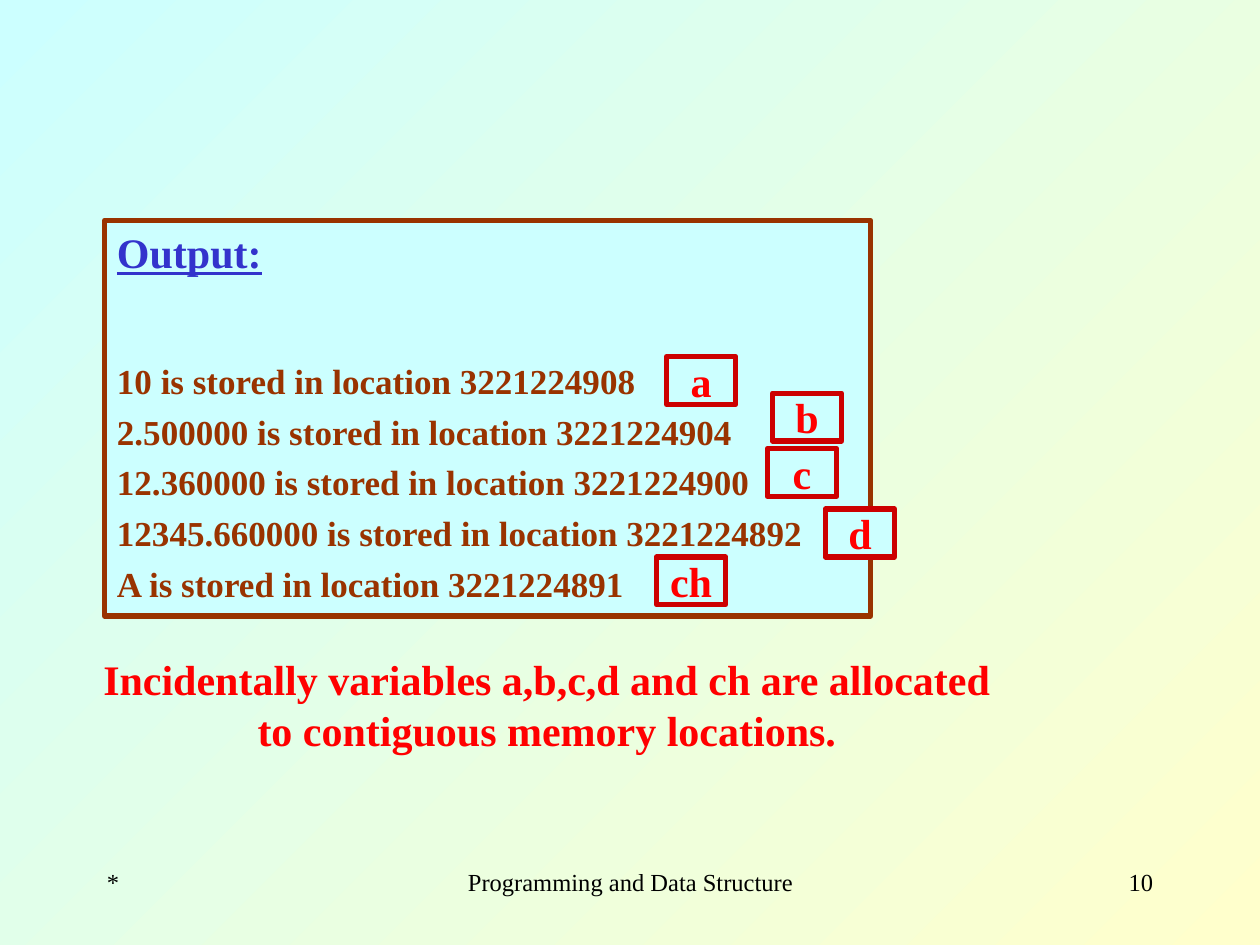
from dataclasses import dataclass

from pptx import Presentation
from pptx.dml.color import RGBColor
from pptx.enum.shapes import MSO_SHAPE
from pptx.enum.text import MSO_ANCHOR, PP_ALIGN
from pptx.util import Inches, Pt

RECTANGLE = MSO_SHAPE.RECTANGLE
TOP, MIDDLE = MSO_ANCHOR.TOP, MSO_ANCHOR.MIDDLE
LEFT, CENTER, RIGHT = PP_ALIGN.LEFT, PP_ALIGN.CENTER, PP_ALIGN.RIGHT


@dataclass(frozen=True)
class Theme:
    font: str = "Times New Roman"
    sky: str = "CCFFFF"
    cream: str = "FFFFCC"
    brown: str = "993300"
    blue: str = "3333CC"
    red: str = "FF0000"
    dark_red: str = "CC0000"
    black: str = "000000"
    large: int = 24
    body: int = 20
    small: int = 14
    border: int = 3


class SlideBuilder:
    def __init__(self, page, theme):
        self.page = page
        self.theme = theme

    def background(self):
        fill = self.page.background.fill
        fill.gradient()
        fill.gradient_angle = 315  # counted counter-clockwise
        for stop, color in zip(fill.gradient_stops, (self.theme.sky, self.theme.cream)):
            stop.color.rgb = RGBColor.from_string(color)

    def style_line(self, para, text, size, color, align=LEFT, bold=True, underline=None, before=0):
        para.text = text
        para.alignment = align
        para.space_before = Pt(before)
        font = para.font
        font.name, font.size = self.theme.font, Pt(size)
        font.bold, font.underline = bold, underline
        font.color.rgb = RGBColor.from_string(color)

    def text(self, left, top, width, height, lines, size, color, align=LEFT, bold=True):
        box = self.page.shapes.add_textbox(*map(Inches, (left, top, width, height)))
        frame = box.text_frame
        frame.word_wrap = True
        for index, line in enumerate(lines):
            para = frame.add_paragraph() if index else frame.paragraphs[0]
            self.style_line(para, line, size, color, align, bold)

    def panel(self, left, top, width, height, border, anchor):
        box = self.page.shapes.add_shape(RECTANGLE, *map(Inches, (left, top, width, height)))
        box.shadow.inherit = False
        box.fill.solid()
        box.fill.fore_color.rgb = RGBColor.from_string(self.theme.sky)
        box.line.color.rgb = RGBColor.from_string(border)
        box.line.width = Pt(self.theme.border)
        frame = box.text_frame
        frame.word_wrap = True
        frame.vertical_anchor = anchor
        return frame

    def output(self, left, top, width, height, heading, lines):
        theme = self.theme
        frame = self.panel(left, top, width, height, theme.brown, TOP)
        self.style_line(frame.paragraphs[0], heading, theme.large, theme.blue, underline=True)
        for index, line in enumerate(lines):
            self.style_line(frame.add_paragraph(), line, theme.body, theme.brown,
                            before=5 if index else 47)

    def label(self, left, top, name):
        theme = self.theme
        frame = self.panel(left, top, 0.55, 0.38, theme.dark_red, MIDDLE)
        # Keep the two-letter name on one line
        frame.word_wrap = False
        self.style_line(frame.paragraphs[0], name, theme.large, theme.red, CENTER)


def main():
    theme = Theme()
    deck = Presentation()
    deck.slide_width, deck.slide_height = Inches(10), Inches(7.5)
    builder = SlideBuilder(deck.slides.add_slide(deck.slide_layouts[6]), theme)
    builder.background()

    # Footer: date, course and page number
    for left, width, text, align in (
        (0.75, 2.08, "*", LEFT),
        (3.42, 3.17, "Programming and Data Structure", CENTER),
        (7.17, 2.08, "10", RIGHT),
    ):
        builder.text(left, 6.83, width, 0.5, [text], theme.small, theme.black, align, bold=False)

    # Program output
    stored = (
        ("10", "3221224908"),
        ("2.500000", "3221224904"),
        ("12.360000", "3221224900"),
        ("12345.660000", "3221224892"),
        ("A", "3221224891"),
    )
    builder.output(0.83, 1.75, 6.08, 3.14, "Output:",
                   [f"{value} is stored in location {place}" for value, place in stored])

    # Remark
    builder.text(0.72, 5.14, 7.24, 0.9,
                 ["Incidentally variables a,b,c,d and ch are allocated",
                  "to contiguous memory locations."],
                 theme.large, theme.red, CENTER)

    # Variable name beside each output line
    for left, top, name in (
        (5.29, 2.83, "a"),
        (6.13, 3.12, "b"),
        (6.09, 3.56, "c"),
        (6.55, 4.04, "d"),
        (5.21, 4.42, "ch"),
    ):
        builder.label(left, top, name)

    deck.save("out.pptx")


if __name__ == "__main__":
    main()
